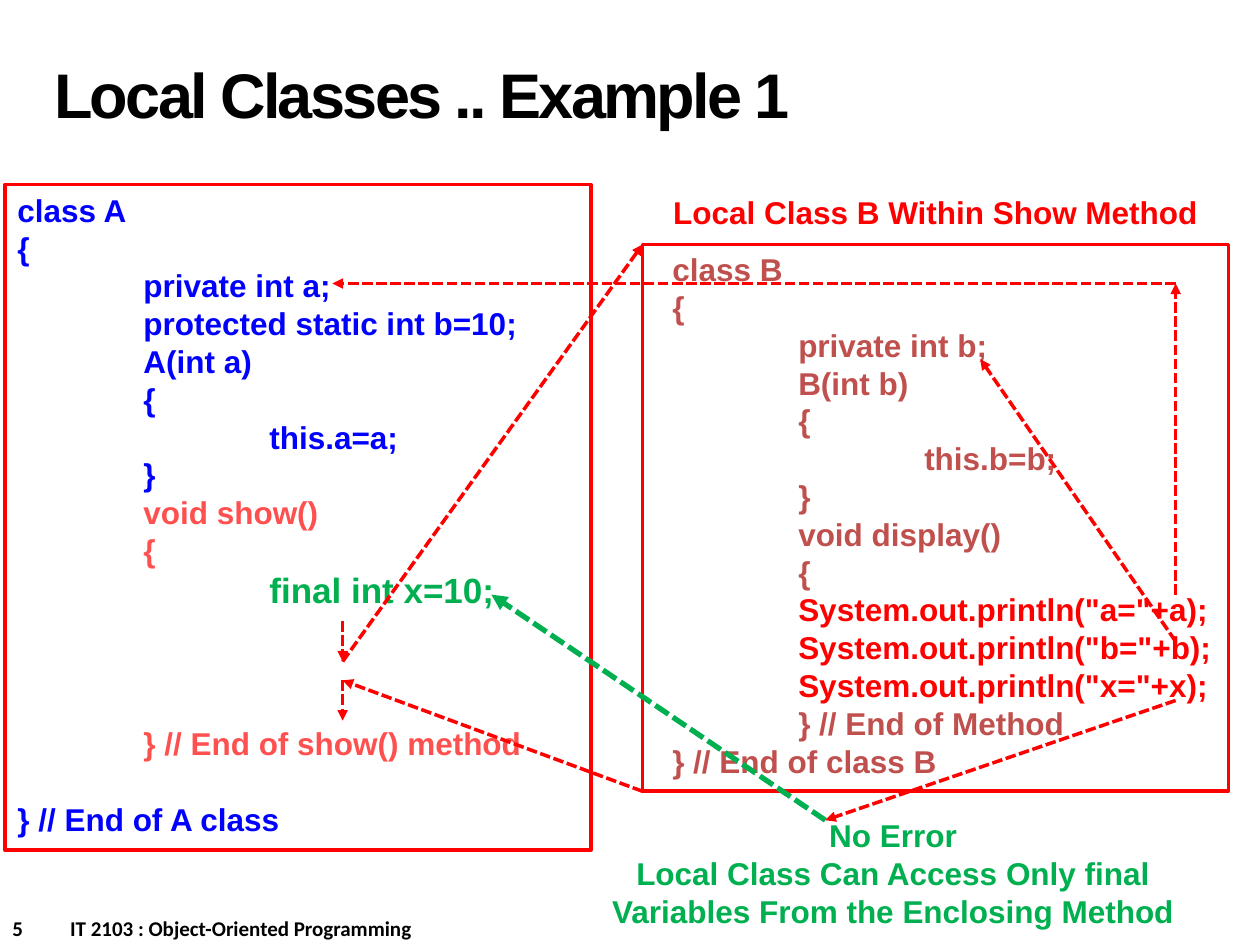
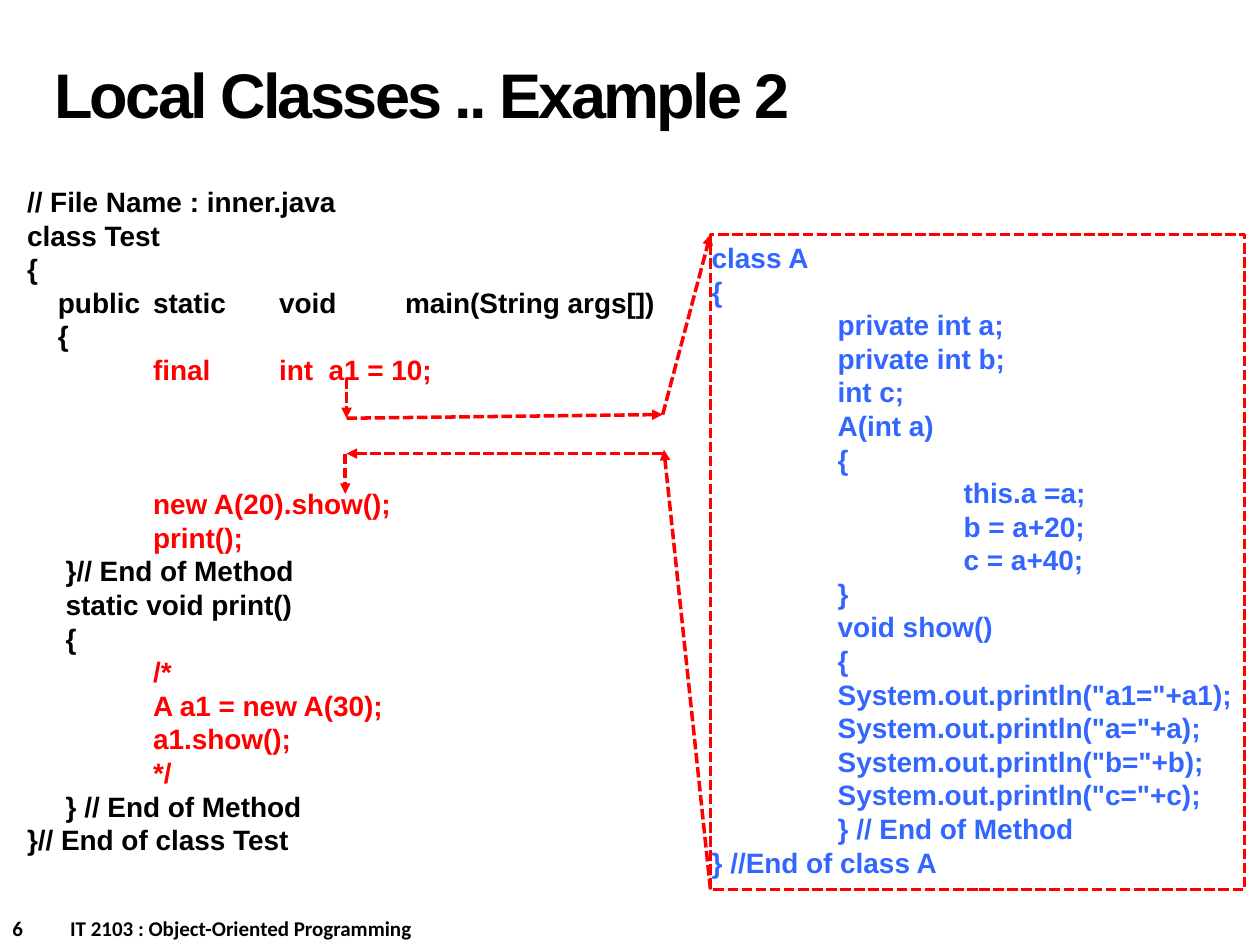
from itertools import pairwise

from lxml.etree import SubElement
from pptx import Presentation
from pptx.dml.color import RGBColor
from pptx.enum.dml import MSO_LINE
from pptx.enum.shapes import MSO_CONNECTOR, MSO_SHAPE
from pptx.enum.text import MSO_ANCHOR, PP_ALIGN
from pptx.oxml.ns import qn
from pptx.util import Pt

RED = "FF0000"
GREEN = "00B050"
BLUE = "0000FF"
CORAL = "FF5050"
BRICK = "C0504D"
SKY = "3366FF"
BLACK = "000000"
COURSE = "IT 2103 : Object-Oriented Programming"
LEADING = 1.2
CODE_TABS = (72, 144, 216)

CLASS_A_HEAD = """class A
{
\tprivate int a;
\tprotected static int b=10;
\tA(int a)
\t{
\t\tthis.a=a;
\t}"""

CLASS_B_HEAD = """class B
{
\tprivate int b;
\tB(int b)
\t{
\t\tthis.b=b;
\t}
\tvoid display()
\t{"""

CLASS_B_PRINTS = """\tSystem.out.println("a="+a);
\tSystem.out.println("b="+b);
\tSystem.out.println("x="+x);"""

TEST_HEAD = """// File Name : inner.java
class Test
{
    public\tstatic\tvoid\tmain(String args[])
    {"""

TEST_PRINT = """     }// End of Method
     static void print()
     {"""

TEST_COMMENT = """\t/*
\tA a1 = new A(30);
\ta1.show();
\t*/"""

LOCAL_CLASS_A = """class A
{
\tprivate int a;
\tprivate int b;
\tint c;
\tA(int a)
\t{
\t\tthis.a =a;
\t\tb = a+20;
\t\tc = a+40;
\t}
\tvoid show()
\t{
\tSystem.out.println("a1="+a1);
\tSystem.out.println("a="+a);
\tSystem.out.println("b="+b);
\tSystem.out.println("c="+c);
\t} // End of Method
} //End of class A"""


def rgb(color):
    return RGBColor.from_string(color)


def add_text(s, box, text="", anchor=MSO_ANCHOR.TOP, **fmt):
    sp = s.shapes.add_textbox(*map(Pt, box))
    tf = sp.text_frame
    tf.word_wrap = True
    tf.vertical_anchor = anchor
    if text:
        add_lines(tf, text, **fmt)
    return tf


def add_lines(tf, text, size=18, color=BLACK, font="Arial", align=PP_ALIGN.LEFT,
              leading=None, gap=0, spacing=0, tabs=()):
    for i, line in enumerate(text.split("\n")):
        p = tf.paragraphs[0]
        if p.runs:
            p = tf.add_paragraph()
        p.alignment = align
        if leading:
            p.line_spacing = Pt(leading)
        if gap and i == 0:
            p.space_before = Pt(gap)
        if tabs:
            stops = SubElement(p._p.get_or_add_pPr(), qn("a:tabLst"))
            for tab in tabs:
                SubElement(stops, qn("a:tab"), pos=str(Pt(tab)), algn="l")
        r = p.add_run()
        r.text = line
        r.font.size = Pt(size)
        r.font.name = font
        r.font.bold = True
        r.font.color.rgb = rgb(color)
        if spacing:
            r._r.get_or_add_rPr().set("spc", str(round(spacing * 100)))


def add_code(s, box, size, blocks):
    tf = add_text(s, box)
    for color, text, *extra in blocks:
        fmt = {"size": size, **(extra[0] if extra else {})}
        fmt["gap"] = fmt.pop("skip", 0) * size * LEADING
        add_lines(tf, text, color=color, leading=fmt["size"] * LEADING,
                  tabs=CODE_TABS, **fmt)


def style_line(line, color=RED, width=2, dashed=True):
    line.color.rgb = rgb(color)
    line.width = Pt(width)
    if dashed:
        line.dash_style = MSO_LINE.SQUARE_DOT


def add_frame(s, box, dashed=False):
    sp = s.shapes.add_shape(MSO_SHAPE.RECTANGLE, *map(Pt, box))
    sp.shadow.inherit = False
    sp.fill.background()
    style_line(sp.line, dashed=dashed)


def add_arrows(s, *points, color=RED, width=2):
    for start, end in pairwise(points):
        c = s.shapes.add_connector(MSO_CONNECTOR.STRAIGHT, *map(Pt, start + end))
        style_line(c.line, color, width)
        SubElement(c.line._get_or_add_ln(), qn("a:tailEnd"), type="triangle")
        SubElement(c._element.spPr, qn("a:effectLst"))


def add_slide(prs, number, title):
    s = prs.slides.add_slide(prs.slide_layouts[6])
    add_text(s, (0, 519.4, 360, 21.6), f"{number}\t{COURSE}", size=12,
             font="Calibri", tabs=(33,))
    add_text(s, (23.8, 11.7, 498, 90), title, size=36, leading=36, spacing=-1.5,
             anchor=MSO_ANCHOR.MIDDLE)
    return s


def build_example_1(prs):
    s = add_slide(prs, 5, "Local Classes .. Example 1")
    add_code(s, (2.9, 105.5, 345.6, 378), 18, [
        (BLUE, CLASS_A_HEAD),
        (CORAL, "\tvoid show()\n\t{"),
        (GREEN, "\t\tfinal int x=10;", {"size": 20}),
        (CORAL, "\t} // End of show() method", {"skip": 3}),
        (BLUE, "} // End of A class", {"skip": 1}),
    ])
    add_frame(s, (2.9, 105.5, 334.8, 380.2))
    add_code(s, (377.1, 139.4, 342.7, 312.5), 18, [
        (BRICK, CLASS_B_HEAD),
        (RED, CLASS_B_PRINTS),
        (BRICK, "\t} // End of Method\n} // End of class B"),
    ])
    left, top, width, height = 367.2, 139.7, 334.8, 312.5
    add_frame(s, (left, top, width, height))

    flow_x, use_x = 195.8, 671.8
    note = (471.6, 468.7)
    add_arrows(s, (flow_x, 355), (flow_x, 378), (left, top))
    add_arrows(s, (left, top + height), (flow_x, 388.8), (flow_x, 411.8))
    add_arrows(s, (use_x, 339.8), (use_x, 162), (190, 162))
    add_arrows(s, (use_x, 366.5), (560.2, 205.2))
    add_arrows(s, note, (280.8, 339.8), color=GREEN, width=3)
    add_arrows(s, (use_x, 400.3), note)

    centred = {"align": PP_ALIGN.CENTER, "leading": 18 * LEADING}
    add_text(s, (left, 107, width, 28.8), "Local Class B Within Show Method",
             color=RED, **centred)
    add_text(s, (320.2, 463, 380.2, 72.7),
             "No Error\nLocal Class Can Access Only final Variables From the Enclosing Method",
             color=GREEN, **centred)


def build_example_2(prs):
    s = add_slide(prs, 6, "Local Classes .. Example 2")
    add_code(s, (8.4, 101.9, 380, 395.3), 16, [
        (BLACK, TEST_HEAD),
        (RED, "\tfinal\tint  a1 = 10;"),
        (RED, "\tnew A(20).show();\n\tprint();", {"skip": 3}),
        (BLACK, TEST_PRINT),
        (RED, TEST_COMMENT),
        (BLACK, "     } // End of Method\n}// End of class Test"),
    ])
    add_code(s, (399.6, 133.9, 317.5, 375.8), 16, [(SKY, LOCAL_CLASS_A)])

    left, top, width, height = 406, 133.9, 305.3, 374.4
    flow_x, turn_x = 198, 378.7
    add_arrows(s, (flow_x, 216), (flow_x, 239), (turn_x, 236.9), (left, top))
    add_arrows(s, (left, top + height), (379.4, 257))
    add_arrows(s, (turn_x, 259.2), (flow_x, 259.2))
    add_arrows(s, (197.3, 259.2), (197.3, 282.2))
    add_frame(s, (left, top, width, height), dashed=True)


def main():
    prs = Presentation()
    prs.slide_width, prs.slide_height = Pt(720), Pt(540)
    build_example_1(prs)
    build_example_2(prs)
    prs.save("out.pptx")


if __name__ == "__main__":
    main()
